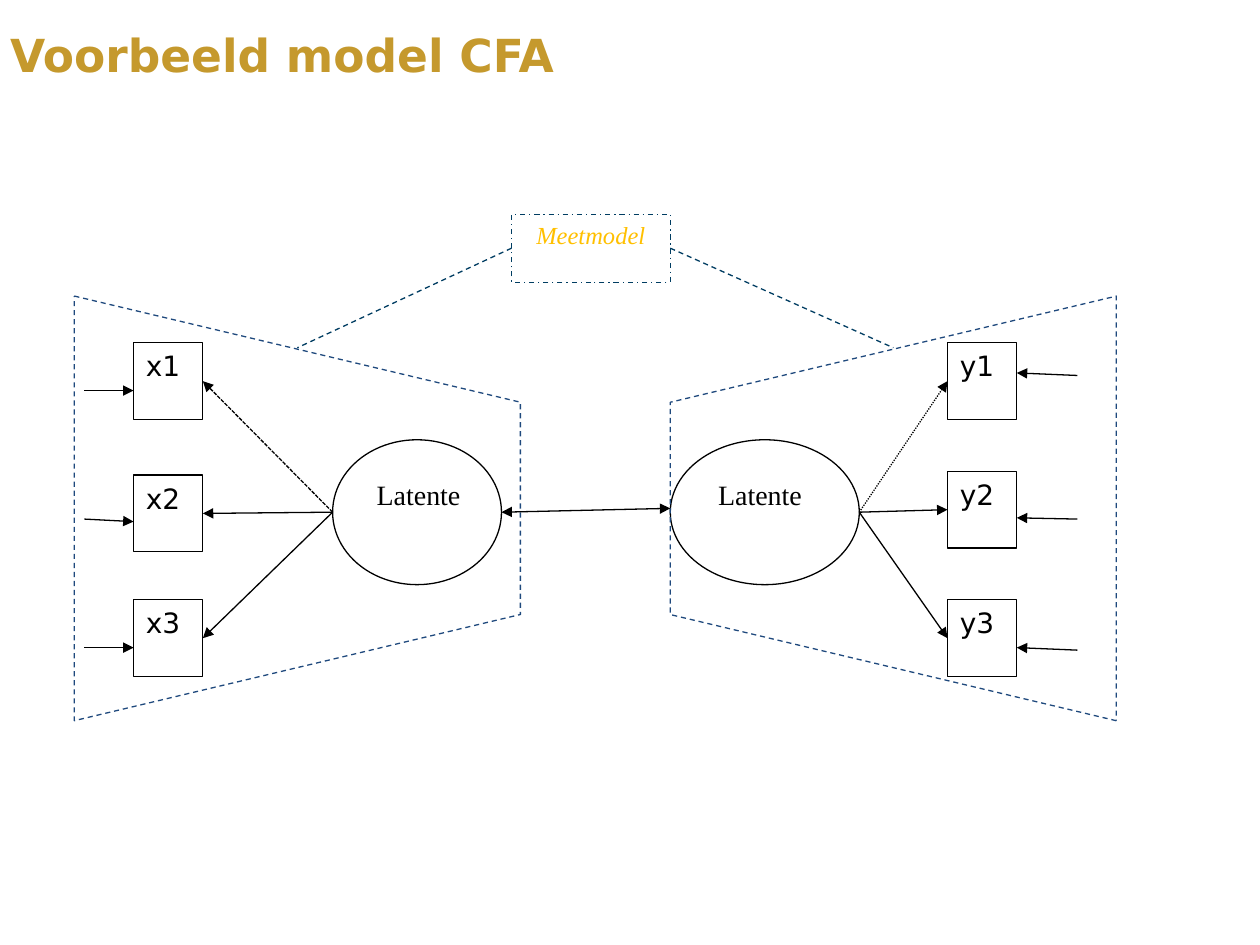
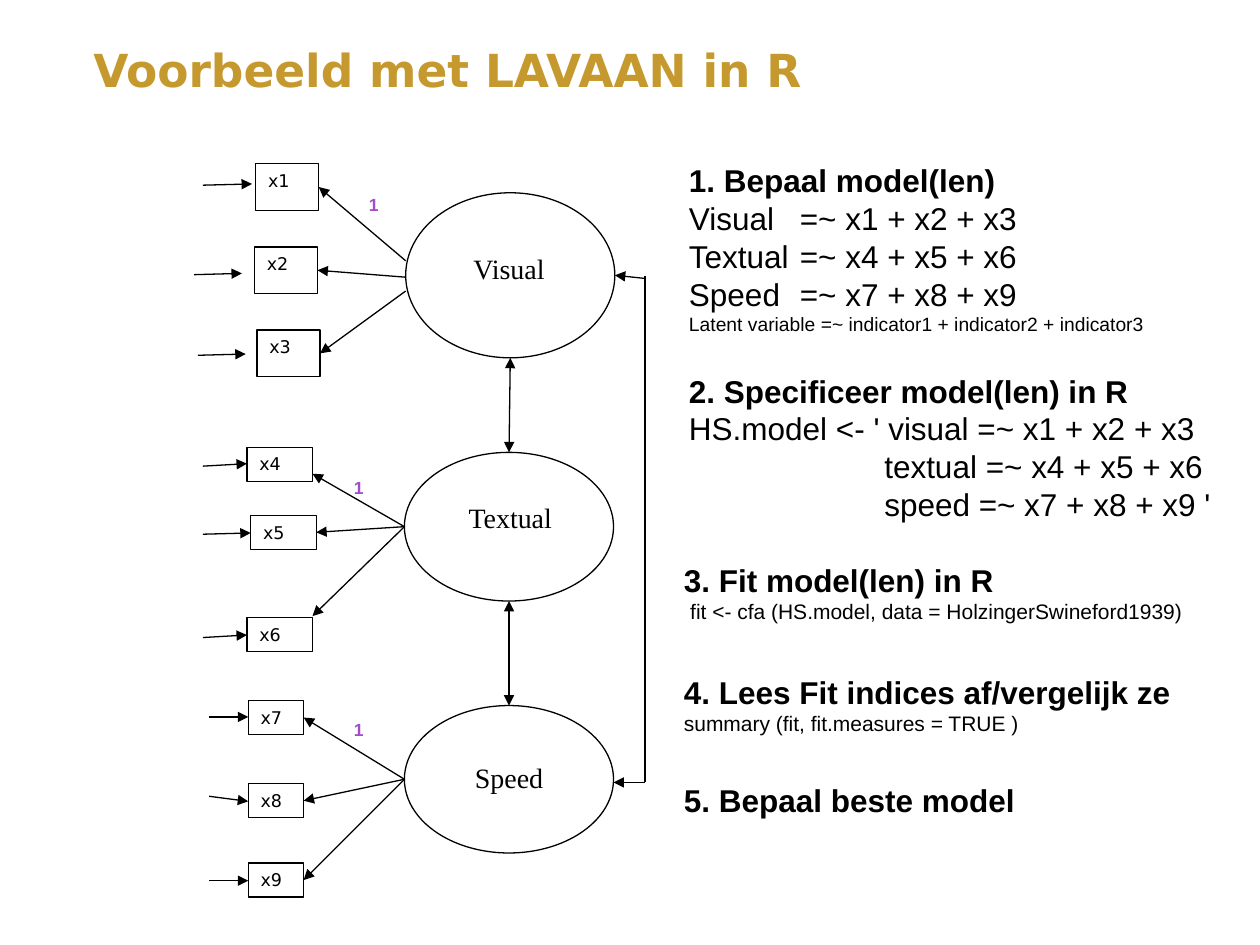
from dataclasses import dataclass
from typing import Optional

from lxml import etree
from pptx import Presentation
from pptx import util as u
from pptx.dml.color import RGBColor
from pptx.enum import dml, shapes, text
from pptx.oxml import ns

GOLD, AMBER, PURPLE = "C5992D", "FFC000", "A24CC8"
BLACK, NAVY, TEAL = "000000", "1F497D", "003D62"
SANS, SERIF, BODY = "DejaVu Sans", "Times New Roman", "Arial"
LINE_WIDTH = u.Pt(0.75)


@dataclass
class Box:
    left: float
    top: float
    width: float
    height: float

    @property
    def right(self):
        return self.left + self.width

    @property
    def bottom(self):
        return self.top + self.height

    @property
    def middle(self):
        return self.top + self.height / 2

    @property
    def center(self):
        return self.left + self.width / 2

    def inside(self, outer):
        return Box(outer.left + self.left, outer.top + self.top, self.width, self.height)

    def lengths(self):
        return [u.Inches(value) for value in (self.left, self.top, self.width, self.height)]


@dataclass
class Indicator:
    """An observed variable; all positions are relative to the factor's box."""
    name: str
    left: float
    top: float
    error_start: tuple
    error_y: float
    gap: float = 0
    loading_y: Optional[float] = None
    oval_y: Optional[float] = None
    dash: Optional[dml.MSO_LINE] = None


def rgb(color):
    return RGBColor.from_string(color)


def set_line(line, color, dash=None):
    line.color.rgb = rgb(color)
    line.width = LINE_WIDTH
    if dash is not None:
        line.dash_style = dash


def set_font(paragraph, size, name, color=BLACK, bold=False, italic=False):
    font = paragraph.font
    font.size, font.name = u.Pt(size), name
    font.color.rgb = rgb(color)
    font.bold, font.italic = bold, italic


def add_title(slide, words, box):
    title = slide.shapes.title
    title.left, title.top, title.width, title.height = box.lengths()
    frame = title.text_frame
    frame.text = words
    frame.margin_left = 0
    frame.auto_size = text.MSO_AUTO_SIZE.NONE
    frame.vertical_anchor = text.MSO_ANCHOR.BOTTOM
    paragraph = frame.paragraphs[0]
    paragraph.alignment = text.PP_ALIGN.LEFT
    paragraph.line_spacing = 0.9
    set_font(paragraph, 26, SANS, GOLD, bold=True)


def add_outline(slide, kind, box, color=BLACK, dash=None):
    shape = slide.shapes.add_shape(kind, *box.lengths())
    shape.shadow.inherit = False
    shape.fill.background()
    set_line(shape.line, color, dash)
    return shape


def write(shape, words, size, name, align=text.PP_ALIGN.LEFT, **style):
    frame = shape.text_frame
    frame.word_wrap = True
    frame.vertical_anchor = text.MSO_ANCHOR.TOP
    frame.text = words
    paragraph = frame.paragraphs[0]
    paragraph.alignment = align
    set_font(paragraph, size, name, **style)


def add_line(slide, start, end, color=BLACK, dash=None, head=False, tail=False):
    points = [u.Inches(value) for value in (*start, *end)]
    connector = slide.shapes.add_connector(shapes.MSO_CONNECTOR.STRAIGHT, *points)
    set_line(connector.line, color, dash)
    line = connector.line._get_or_add_ln()
    for wanted, tag in ((head, "a:headEnd"), (tail, "a:tailEnd")):
        if wanted:
            etree.SubElement(line, ns.qn(tag), type="triangle")
    etree.SubElement(connector._element.spPr, ns.qn("a:effectLst"))


def add_factor(slide, region, name, oval, label, indicators, size, font_size):
    """Draw a latent variable with its indicators, loadings and error arrows."""
    oval, label = oval.inside(region), label.inside(region)
    add_outline(slide, shapes.MSO_SHAPE.OVAL, oval)
    write(slide.shapes.add_textbox(*label.lengths()), name, 16, SERIF, text.PP_ALIGN.CENTER)
    for item in indicators:
        box = Box(item.left, item.top, *size).inside(region)
        write(add_outline(slide, shapes.MSO_SHAPE.RECTANGLE, box), item.name, font_size, SANS)
        if box.left < oval.left:
            oval_x, inner_x, outer_x = oval.left, box.right, box.left - item.gap
        else:
            oval_x, inner_x, outer_x = oval.right, box.left, box.right + item.gap
        oval_y = oval.middle if item.oval_y is None else region.top + item.oval_y
        loading_y = box.middle if item.loading_y is None else region.top + item.loading_y
        add_line(slide, (oval_x, oval_y), (inner_x, loading_y), dash=item.dash, tail=True)
        start_x, start_y = item.error_start
        add_line(slide, (region.left + start_x, region.top + start_y),
                 (outer_x, region.top + item.error_y), tail=True)
    return oval


def add_trapezoid(slide, region, rotation):
    turned = Box(region.center - region.height / 2, region.middle - region.width / 2,
                 region.height, region.width)
    shape = add_outline(slide, shapes.MSO_SHAPE.TRAPEZOID, turned, NAVY, dml.MSO_LINE.DASH)
    shape.rotation = rotation


def add_measurement_label(slide, box, left_target, right_target):
    shape = add_outline(slide, shapes.MSO_SHAPE.RECTANGLE, box, TEAL, dml.MSO_LINE.DASH_DOT)
    write(shape, "Meetmodel", 14, SERIF, text.PP_ALIGN.CENTER, color=AMBER, italic=True)
    for side, target in ((box.left, left_target), (box.right, right_target)):
        add_line(slide, (side, box.middle), target, TEAL, dml.MSO_LINE.DASH)


def add_step(slide, box, heading, lines=()):
    """Write a bold heading and lines of (words, size, indent, tab stop)."""
    frame = slide.shapes.add_textbox(*box.lengths()).text_frame
    frame.word_wrap = True
    frame.text = heading
    set_font(frame.paragraphs[0], 18, BODY, bold=True)
    for words, size, indent, tab in lines:
        paragraph = frame.add_paragraph()
        paragraph.text = words
        set_font(paragraph, size, BODY)
        properties = paragraph._p.get_or_add_pPr()
        properties.set("marL", str(u.Inches(indent)))
        if tab:
            tabs = etree.Element(ns.qn("a:tabLst"))
            etree.SubElement(tabs, ns.qn("a:tab"), pos=str(u.Inches(tab)), algn="l")
            properties.insert(0, tabs)


def build_model_slide(slide):
    add_title(slide, "Voorbeeld model CFA", Box(0.08, 0.15, 7.79, 0.55))
    x_region = Box(0.59, 2.35, 3.54, 3.37)
    y_region = Box(5.32, 2.35, 3.54, 3.37)
    size = (0.55, 0.61)
    x_oval = add_factor(
        slide, x_region, "Latente ", Box(2.05, 1.14, 1.34, 1.15), Box(2.21, 1.39, 1.1, 0.37),
        [Indicator("x1", 0.47, 0.37, (0.08, 0.75), 0.75, dash=dml.MSO_LINE.SQUARE_DOT),
         Indicator("x2", 0.47, 1.42, (0.08, 1.77), 1.79),
         Indicator("x3", 0.47, 2.41, (0.08, 2.79), 2.79)], size, 16)
    y_oval = add_factor(
        slide, y_region, "Latente ", Box(0, 1.14, 1.5, 1.15), Box(0.15, 1.39, 1.18, 0.37),
        [Indicator("y1", 2.2, 0.37, (3.23, 0.63), 0.61, dash=dml.MSO_LINE.ROUND_DOT),
         Indicator("y2", 2.2, 1.39, (3.23, 1.77), 1.76),
         Indicator("y3", 2.2, 2.41, (3.23, 2.81), 2.79)], size, 16)
    add_trapezoid(slide, x_region, 90)
    add_trapezoid(slide, y_region, 270)
    add_measurement_label(slide, Box(4.06, 1.7, 1.26, 0.54),
                          (x_region.center, 2.76), (y_region.center, 2.76))
    add_line(slide, (x_oval.right, x_oval.middle), (y_oval.left, y_oval.middle - 0.03),
             head=True, tail=True)


def add_factor_chain(slide):
    visual = add_factor(
        slide, Box(1.5, 1.3, 3.38, 1.7), "Visual",
        Box(1.72, 0.23, 1.66, 1.31), Box(1.94, 0.65, 1.2, 0.37),
        [Indicator("x1", 0.53, 0, (0.11, 0.17), 0.16, gap=0.03, oval_y=0.77),
         Indicator("x2", 0.52, 0.66, (0.04, 0.88), 0.87, gap=0.1, oval_y=0.9),
         Indicator("x3", 0.54, 1.32, (0.07, 1.52), 1.51, gap=0.09, oval_y=1.01)],
        (0.5, 0.37), 10)
    textual = add_factor(
        slide, Box(1.6, 3.55, 3.27, 1.62), "Textual",
        Box(1.61, 0.04, 1.66, 1.18), Box(1.86, 0.37, 1.18, 0.37),
        [Indicator("x4", 0.36, 0, (0.01, 0.15), 0.13, loading_y=0.21),
         Indicator("x5", 0.39, 0.54, (0.01, 0.69), 0.68),
         Indicator("x6", 0.36, 1.35, (0.01, 1.51), 1.49, loading_y=1.34)],
        (0.52, 0.27), 10)
    speed = add_factor(
        slide, Box(1.6, 5.56, 3.27, 1.56), "Speed",
        Box(1.61, 0.04, 1.66, 1.17), Box(1.85, 0.43, 1.18, 0.37),
        [Indicator("x7", 0.37, 0, (0.06, 0.13), 0.13),
         Indicator("x8", 0.37, 0.66, (0.06, 0.76), 0.8),
         Indicator("x9", 0.37, 1.29, (0.06, 1.43), 1.43)],
        (0.44, 0.27), 10)
    for upper, lower in ((visual, textual), (textual, speed)):
        add_line(slide, (upper.center, upper.bottom), (lower.center, lower.top),
                 head=True, tail=True)
    bracket_x, bracket_top, bracket_bottom = 5.12, 2.19, 6.21
    add_line(slide, (bracket_x, bracket_top), (bracket_x, bracket_bottom))
    add_line(slide, (bracket_x, bracket_top + 0.02), (visual.right, visual.middle), tail=True)
    add_line(slide, (bracket_x, bracket_bottom), (speed.right, bracket_bottom), tail=True)
    for left, top in ((2.83, 1.49), (2.71, 3.74), (2.71, 5.66)):
        weight = slide.shapes.add_textbox(*Box(left, top, 0.43, 0.27).lengths())
        write(weight, "1", 10, BODY, color=PURPLE, bold=True)


def add_steps(slide, box):
    indent, tab = 1.55, 0.88
    steps = [
        (0.04, 0, 1.8, "1. Bepaal model(len)",
         [("Visual\t=~ x1 + x2 + x3", 18, 0, tab),
          ("Textual\t=~ x4 + x5 + x6", 18, 0, tab),
          ("Speed\t=~ x7 + x8 + x9", 18, 0, tab),
          ("Latent variable =~ indicator1 + indicator2 + indicator3", 11, 0, None)]),
        (0.04, 1.67, 1.62, "2. Specificeer model(len) in R",
         [("HS.model <- ' visual =~ x1 + x2 + x3", 18, 0, None),
          ("textual =~ x4 + x5 + x6", 18, indent, None),
          ("speed =~ x7 + x8 + x9 '", 18, indent, None)]),
        (0, 3.17, 0.61, "3. Fit model(len) in R",
         [("fit <- cfa (HS.model, data = HolzingerSwineford1939)", 12, 0.05, None)]),
        (0, 4.06, 0.61, "4. Lees Fit indices af/vergelijk ze",
         [("summary (fit, fit.measures = TRUE )", 12, 0, None)]),
        (0, 4.92, 0.4, "5. Bepaal beste model", []),
    ]
    for left, top, height, heading, lines in steps:
        add_step(slide, Box(left, top, box.width, height).inside(box), heading, lines)


def build_lavaan_slide(slide):
    add_title(slide, "Voorbeeld met LAVAAN in R", Box(0.74, 0.24, 5.83, 0.58))
    add_factor_chain(slide)
    add_steps(slide, Box(5.33, 1.23, 4.5, 5.32))


def main():
    presentation = Presentation()
    presentation.slide_width, presentation.slide_height = u.Inches(10), u.Inches(7.5)
    title_only = presentation.slide_layouts[5]
    for build in (build_model_slide, build_lavaan_slide):
        build(presentation.slides.add_slide(title_only))
    presentation.save("out.pptx")


if __name__ == "__main__":
    main()
